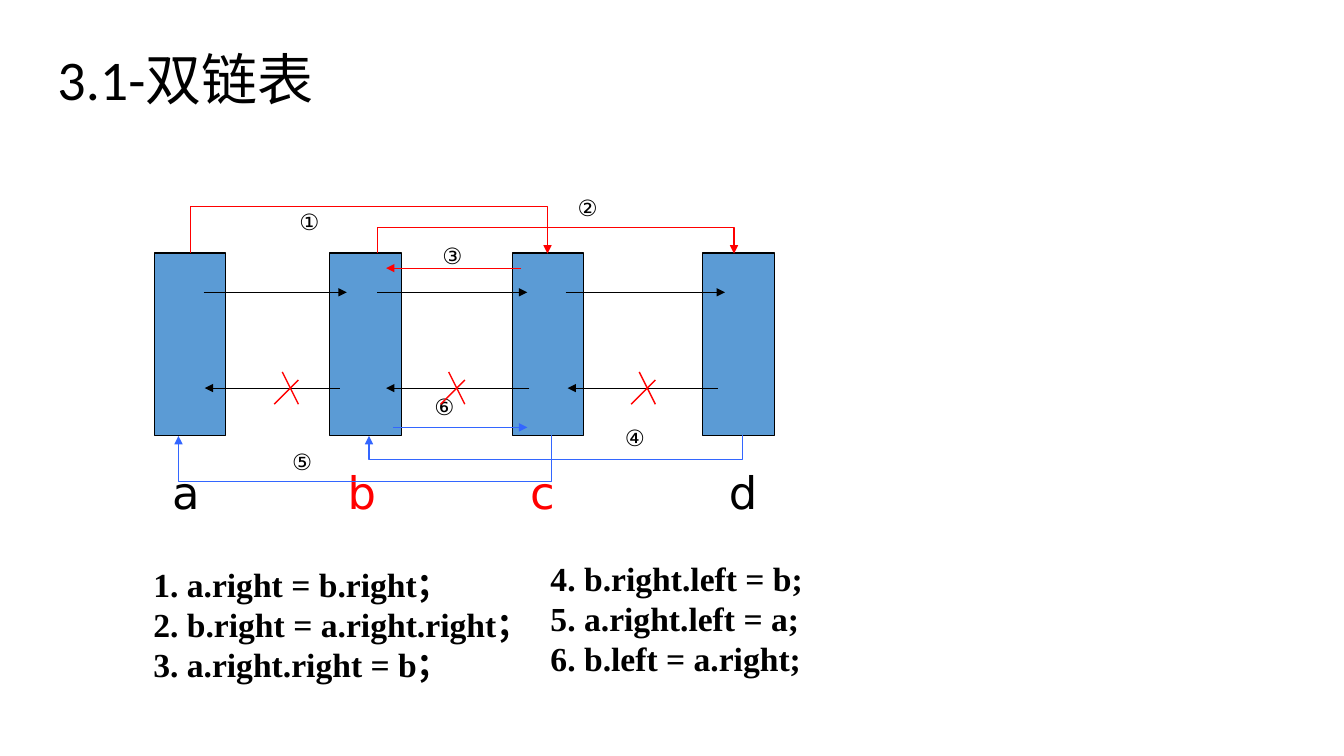
from lxml import etree
from pptx import Presentation
from pptx import util as u
from pptx.dml import color as clr
from pptx.enum import shapes, text
from pptx.oxml import ns

COLORS = {"black": "000000", "red": "FF0000", "blue": "3366FF", "node": "5B9BD5"}
ELBOW_W = 0.01  # thickness of the frame of an elbow arrow before its bend


def write(tf, content, *, size, font, color="black", bold=False, spacing=1.0,
          anchor=text.MSO_ANCHOR.TOP):
    tf.word_wrap = True
    tf.auto_size = text.MSO_AUTO_SIZE.NONE
    tf.vertical_anchor = anchor
    for i, line in enumerate(content.split("\n")):
        p = tf.add_paragraph() if i else tf.paragraphs[0]
        p.alignment = text.PP_ALIGN.LEFT
        p.line_spacing = spacing
        p.space_before = u.Pt(0)
        r = p.add_run()
        r.text = line
        r.font.size, r.font.name, r.font.bold = u.Pt(size), font, bold
        r.font.color.rgb = clr.RGBColor.from_string(COLORS[color])


def connect(x1, y1, x2, y2, color, *, width=0.75, arrow=True,
            kind=shapes.MSO_CONNECTOR.STRAIGHT):
    line = s.shapes.add_connector(kind, *(u.Inches(v) for v in (x1, y1, x2, y2)))
    line.line.color.rgb = clr.RGBColor.from_string(COLORS[color])
    line.line.width = u.Pt(width)
    props = line._element.spPr
    if arrow:
        etree.SubElement(props.find(ns.qn("a:ln")), ns.qn("a:tailEnd"), type="triangle")
    etree.SubElement(props, ns.qn("a:effectLst"))
    return line


prs = Presentation()
prs.slide_width, prs.slide_height = u.Inches(13.33), u.Inches(7.5)
s = prs.slides.add_slide(prs.slide_layouts[3])
title, left_code, right_code = s.placeholders

# Title
title.left, title.top = u.Inches(0.47), u.Inches(0.5)
title.width, title.height = u.Inches(6.42), u.Inches(0.64)
write(title.text_frame, "3.1-双链表", size=40, font="Calibri", spacing=0.9,
      anchor=text.MSO_ANCHOR.MIDDLE)

# Pointer assignments, in two lists without bullets
code_lists = [
    (left_code, 1.42, 5.54, 4.09,
     "1. a.right = b.right；\n2. b.right = a.right.right；\n3. a.right.right = b；"),
    (right_code, 5.36, 5.48, 4.17,
     "4. b.right.left = b;\n5. a.right.left = a;\n6. b.left = a.right;"),
]
for body, x, y, w, code in code_lists:
    body.left, body.top = u.Inches(x), u.Inches(y)
    body.width, body.height = u.Inches(w), u.Inches(1.31)
    write(body.text_frame, code, size=24, font="Times New Roman", bold=True)
    for p in body.text_frame.paragraphs:
        pPr = p._p.get_or_add_pPr()
        pPr.set("marL", "0")
        pPr.set("indent", "0")
        etree.SubElement(pPr, ns.qn("a:buNone"))

# Nodes and their letters
nodes = [("a", 1.53, 1.61, "black"), ("b", 3.27, 3.35, "red"),
         ("c", 5.08, 5.16, "red"), ("d", 6.97, 7.13, "black")]
for letter, x, letter_x, color in nodes:
    label = s.shapes.add_textbox(u.Inches(letter_x), u.Inches(4.56),
                                 u.Inches(0.63), u.Inches(0.63))
    write(label.text_frame, letter, size=32, font="DejaVu Sans", color=color)
    node = s.shapes.add_shape(shapes.MSO_SHAPE.RECTANGLE, u.Inches(x), u.Inches(2.51),
                              u.Inches(0.71), u.Inches(1.81))
    node.shadow.inherit = False
    node.fill.solid()
    node.fill.fore_color.rgb = clr.RGBColor.from_string(COLORS["node"])
    node.line.color.rgb = clr.RGBColor.from_string(COLORS["black"])
    node.line.width = u.Pt(0.75)

# Straight links: right pointers, left pointers, steps 3 and 6
links = [(2.02, 3.44, 2.9, "black"), (3.74, 5.23, 2.9, "black"), (5.61, 7.19, 2.9, "black"),
         (3.37, 2.03, 3.85, "black"), (5.25, 3.83, 3.85, "black"), (7.12, 5.63, 3.85, "black"),
         (5.17, 3.83, 2.66, "red"), (3.9, 5.23, 4.24, "blue")]
for start, end, y, color in links:
    connect(start, y, end, y, color)

# Elbow links: an upright frame turned by 90 degrees, bent far outside it
elbows = [(1.89, 5.43, 2.51, 2.05, "red"), (3.74, 7.28, 2.51, 2.26, "red"),
          (7.36, 3.66, 4.32, 4.57, "blue"), (5.47, 1.77, 4.32, 4.79, "blue")]
for start, end, y, bend_y, color in elbows:
    mid, half = (start + end) / 2, (end - start) / 2
    elbow = connect(mid - ELBOW_W / 2, y + half, mid + ELBOW_W / 2, y - half, color,
                    kind=shapes.MSO_CONNECTOR.ELBOW)
    props = elbow._element.spPr
    props.find(ns.qn("a:xfrm")).set("rot", "5400000")
    bend = round((bend_y - y) / ELBOW_W * 100000)
    etree.SubElement(props.find(ns.qn("a:prstGeom")).find(ns.qn("a:avLst")), ns.qn("a:gd"),
                     name="adj1", fmla=f"val {bend}")

# Step numbers
steps = [("①", 2.87, 2.02), ("②", 5.63, 1.88), ("③", 4.29, 2.35),
         ("④", 6.1, 4.16), ("⑤", 2.8, 4.4), ("⑥", 4.21, 3.85)]
for number, x, y in steps:
    label = s.shapes.add_textbox(u.Inches(x), u.Inches(y), u.Inches(0.39), u.Inches(0.37))
    write(label.text_frame, number, size=16, font="DejaVu Sans")

# Crosses on the replaced left pointers
for x in (2.8, 4.45, 6.34):
    connect(x, 3.69, x + 0.16, 4.01, "red", width=1, arrow=False)
    connect(x + 0.16, 3.77, x - 0.08, 4.01, "red", width=1, arrow=False)

prs.save("out.pptx")
